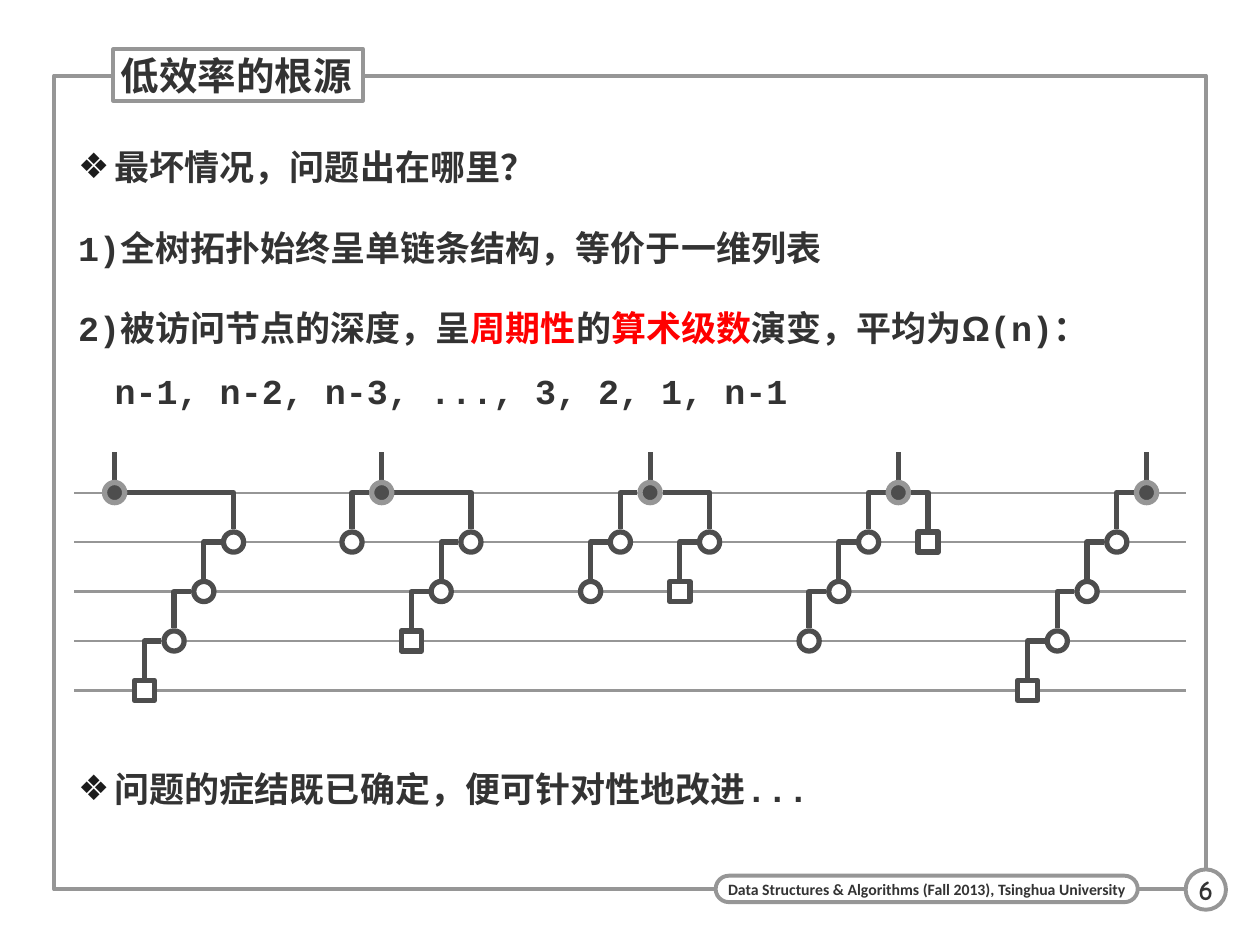
from lxml.etree import SubElement
from pptx import Presentation
from pptx.dml.color import RGBColor
from pptx.enum.shapes import MSO_CONNECTOR as LINK, MSO_SHAPE as SHAPE
from pptx.enum.text import MSO_ANCHOR as ANCHOR, MSO_AUTO_SIZE as AUTO_SIZE, PP_ALIGN as ALIGN
from pptx.oxml.ns import qn
from pptx.util import Inches, Pt

WHITE = RGBColor(0xFF, 0xFF, 0xFF)
GRAY = RGBColor(0x96, 0x96, 0x96)
DARK = RGBColor(0x4D, 0x4D, 0x4D)
INK = RGBColor(0x33, 0x33, 0x33)
RED = RGBColor(0xFF, 0x00, 0x00)

deck = Presentation()
deck.slide_width, deck.slide_height = Inches(10), Inches(7.5)
page = deck.slides.add_slide(deck.slide_layouts[1])


def add_box(kind, left, top, width, height, fill=WHITE, line=GRAY, weight=2.25,
            text="", font="Calibri", size=9):
    box = page.shapes.add_shape(kind, Inches(left), Inches(top), Inches(width), Inches(height))
    box.shadow.inherit = False
    if fill is None:
        box.fill.background()
    else:
        box.fill.solid()
        box.fill.fore_color.rgb = fill
    box.line.color.rgb = line
    box.line.width = Pt(weight)
    if text:
        frame = box.text_frame
        frame.word_wrap = False
        frame.vertical_anchor = ANCHOR.MIDDLE
        frame.margin_left = frame.margin_right = Inches(0.05)
        frame.margin_top = frame.margin_bottom = 0
        para = frame.paragraphs[0]
        para.text = text
        para.alignment = ALIGN.CENTER
        para.font.name, para.font.size, para.font.bold = font, Pt(size), True
        para.font.color.rgb = INK
    return box


def add_link(x1, y1, x2, y2, color=DARK, weight=3, bent=False):
    """Draw a straight line, or one that runs sideways and then down."""
    link = page.shapes.add_connector(LINK.ELBOW if bent else LINK.STRAIGHT,
                                     Inches(x1), Inches(y1), Inches(x2), Inches(y2))
    link.line.color.rgb = color
    link.line.width = Pt(weight)
    properties = link.element.spPr
    if bent:
        properties.find(qn("a:prstGeom")).set("prst", "bentConnector2")
    SubElement(properties, qn("a:effectLst"))


# Frame, behind the placeholders
border = add_box(SHAPE.RECTANGLE, 0.43, 0.6, 9.14, 6.46, fill=None)
page.shapes.element.insert(2, border.element)

# Title
title = page.shapes.title
title.left, title.top, title.width, title.height = map(Inches, (0.9, 0.39, 1.98, 0.41))
title.fill.solid()
title.fill.fore_color.rgb = WHITE
title.line.color.rgb = GRAY
title.line.width = Pt(2.25)
frame = title.text_frame
frame.auto_size = AUTO_SIZE.NONE
frame.vertical_anchor = ANCHOR.MIDDLE
frame.margin_left = frame.margin_right = Inches(0.06)
frame.margin_top = frame.margin_bottom = Inches(0.01)
para = frame.paragraphs[0]
para.text = "低效率的根源"
para.alignment = ALIGN.LEFT
para.font.name, para.font.size, para.font.bold = "Courier New", Pt(22), True
para.font.color.rgb = INK

# Body: (bulleted, space before, spans of text, font and colour)
MONO = "Courier New"
POINTS = [
    (True, 0, [("最坏情况，问题出在哪里？", MONO, INK)]),
    (False, 7.5, [("1)全树拓扑始终呈单链条结构，等价于一维列表", MONO, INK)]),
    (False, 7.5, [("2)被访问节点的深度，呈", MONO, INK), ("周期性", MONO, RED), ("的", MONO, INK),
                  ("算术级数", MONO, RED), ("演变，平均为", MONO, INK), ("Ω", "Arial", INK),
                  ("(n)：", MONO, INK), ("\n", MONO, INK),
                  ("n-1, n-2, n-3, ..., 3, 2, 1, n-1", MONO, INK)]),
    (True, 189, [("问题的症结既已确定，便可针对性地改进...", MONO, INK)]),
]
body = page.placeholders[1]
body.left, body.top, body.width, body.height = map(Inches, (0.46, 0.91, 9.11, 5.91))
frame = body.text_frame
frame.auto_size = AUTO_SIZE.NONE
frame.margin_left, frame.margin_right = Inches(0.16), 0
frame.margin_top = frame.margin_bottom = Inches(0.08)
for index, (bulleted, before, spans) in enumerate(POINTS):
    para = frame.add_paragraph() if index else frame.paragraphs[0]
    properties = para._p.get_or_add_pPr()
    properties.set("marL", str(Inches(0.29)))
    properties.set("indent", str(-Inches(0.29)))
    if bulleted:
        color = SubElement(properties, qn("a:buClr"))
        SubElement(color, qn("a:srgbClr"), val="1C1C1C")
        SubElement(properties, qn("a:buChar"), char="❖")
    else:
        SubElement(properties, qn("a:buNone"))
    para.line_spacing = 1.5
    para.space_before, para.space_after = Pt(before), Pt(2.5)
    for text, font, color in spans:
        if text == "\n":
            para.add_line_break()
            continue
        span = para.add_run()
        span.text = text
        span.font.name, span.font.size, span.font.bold = font, Pt(20), True
        span.font.color.rgb = color

# Footer
add_box(SHAPE.ROUNDED_RECTANGLE, 5.68, 6.95, 3.35, 0.21,
        text="Data Structures & Algorithms (Fall 2013), Tsinghua University").adjustments[0] = 0.5
add_box(SHAPE.OVAL, 9.41, 6.9, 0.32, 0.32, text="6", font="Comic Neue", size=16)

# Depth levels
LEVELS = [3.91 + 0.3925 * depth for depth in range(5)]
for y in LEVELS:
    add_link(0.59, y, 9.41, y, color=GRAY, weight=1.25)

# Trees: root x, then chains of (first column beside the root, length, ends in a square).
# Each chain starts one level below the root and steps down to the left.
TREES = [
    (0.91, [(4, 4, True)]),
    (3.03, [(-1, 1, False), (3, 3, True)]),
    (5.16, [(-1, 2, False), (2, 2, True)]),
    (7.13, [(-1, 3, False), (1, 1, True)]),
    (9.1, [(-1, 4, True)]),
]
COLUMN = 0.236
RADIUS = 0.08
REACH = 0.1
for root_x, chains in TREES:
    add_link(root_x, 3.59, root_x, 3.81)
    for first, length, squared in chains:
        parent_x = root_x
        for depth in range(1, length + 1):
            x, y = root_x + COLUMN * (first - depth + 1), LEVELS[depth]
            side = REACH if x > parent_x else -REACH
            add_link(parent_x + side, LEVELS[depth - 1], x, y - REACH, bent=True)
            kind = SHAPE.RECTANGLE if squared and depth == length else SHAPE.OVAL
            add_box(kind, x - RADIUS, y - RADIUS, 2 * RADIUS, 2 * RADIUS, line=DARK, weight=3)
            parent_x = x
    add_box(SHAPE.OVAL, root_x - RADIUS, LEVELS[0] - RADIUS, 2 * RADIUS, 2 * RADIUS,
            fill=DARK, weight=3)

deck.save("out.pptx")
